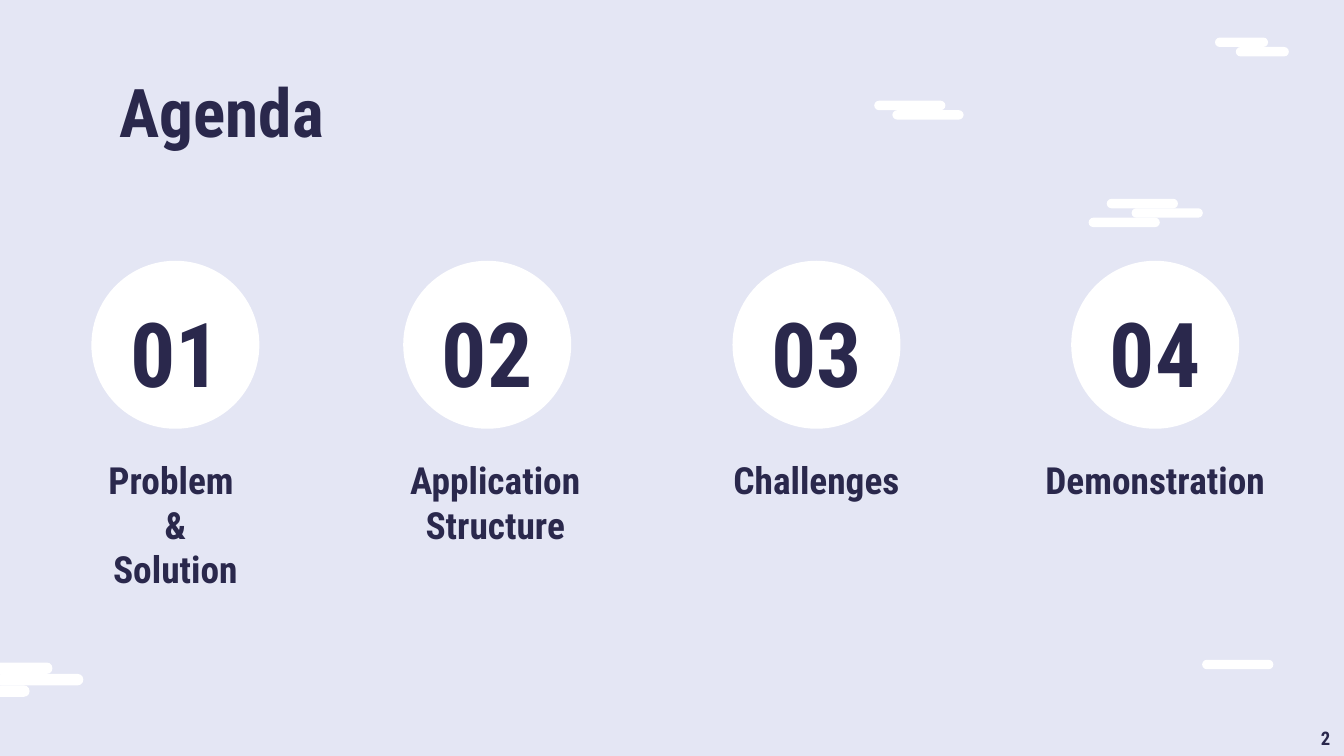
from pptx import Presentation
from pptx.dml.color import RGBColor
from pptx.enum.shapes import MSO_SHAPE
from pptx.enum.text import MSO_ANCHOR, MSO_AUTO_SIZE, PP_ALIGN
from pptx.util import Emu, Pt

SCALE = 4572
INK = "2A284C"
PAPER = "E4E6F4"
WHITE = "FFFFFF"
FONT = "Roboto Condensed"

AGENDA = [
    (136, 22, ["Problem ", "&", "Solution"]),
    (600, 498, ["Application", "Structure"]),
    (1090, 976, ["Challenges"]),
    (1594, 1480, ["Demonstration"]),
]
CLOUDS = [
    ((-86, 986, 130, 17), [34, 80, 0]),
    ((1620, 296, 106, 14), [27, 64, 0]),
    ((1301, 150, 106, 14), [0, 27]),
    ((1789, 982, 106, 14), [0]),
    ((1808, 56, 79, 14), [0, 31]),
]


def px(length):
    """Turn px into EMU."""
    return Emu(length * SCALE)


def color(hex_code):
    """Turn a hex string into a colour."""
    return RGBColor.from_string(hex_code)


def write(shape, lines, size, align=PP_ALIGN.LEFT, anchor=MSO_ANCHOR.TOP,
          inset=20, wrap=True):
    """Fill a shape with formatted lines, one paragraph each."""
    frame = shape.text_frame
    frame.auto_size = MSO_AUTO_SIZE.NONE
    frame.word_wrap = wrap
    frame.vertical_anchor = anchor
    frame.margin_left = frame.margin_right = px(20)
    frame.margin_top = frame.margin_bottom = px(inset)
    frame.text = "\n".join(lines)
    for paragraph in frame.paragraphs:
        paragraph.alignment = align
        font = paragraph.runs[0].font
        font.name, font.size, font.bold = FONT, Pt(size), True
        font.color.rgb = color(INK)


def add_text(slide, box, lines, size, **style):
    """Add a text box with formatted lines."""
    write(slide.shapes.add_textbox(*map(px, box)), lines, size, **style)


def add_pill(slide, box):
    """Add a white shape with fully rounded ends."""
    pill = slide.shapes.add_shape(MSO_SHAPE.ROUNDED_RECTANGLE, *map(px, box))
    pill.adjustments[0] = 0.5
    pill.shadow.inherit = False
    pill.fill.solid()
    pill.fill.fore_color.rgb = color(WHITE)
    pill.line.fill.background()


def add_cloud(slide, box, offsets):
    """Stack cloud bars downwards, each shifted by its offset."""
    left, top, width, height = box
    for row, offset in enumerate(offsets):
        add_pill(slide, (left + offset, top + row * height, width, height))


def add_title(slide, box, title):
    """Place and format the title placeholder."""
    heading = slide.shapes.title
    heading.left, heading.top, heading.width, heading.height = map(px, box)
    write(heading, [title], 36)


def add_agenda_item(slide, box, number, label_left, label):
    """Add a numbered disc with its label underneath."""
    left, top, width, height = box
    add_pill(slide, box)
    add_text(slide, (left + 28, top + 64, width - 56, 142), [f"{number:02}"], 48,
             align=PP_ALIGN.CENTER, anchor=MSO_ANCHOR.MIDDLE)
    add_text(slide, (label_left, top + height + 22, 478, 40 + 68 * len(label)),
             label, 20, align=PP_ALIGN.CENTER)


def build_agenda(deck):
    """Build the agenda slide."""
    slide = deck.slides.add_slide(deck.slide_layouts[5])
    slide.background.fill.solid()
    slide.background.fill.fore_color.rgb = color(PAPER)
    for box, offsets in CLOUDS:
        add_cloud(slide, box, offsets)
    add_title(slide, (158, 84, 1686, 134), "Agenda")
    for number, (left, label_left, label) in enumerate(AGENDA, 1):
        add_agenda_item(slide, (left, 388, 250, 250), number, label_left, label)
    add_text(slide, (1946, 1072, 54, 54), ["2"], 10, inset=10, wrap=False)


def main():
    """Create and save the deck."""
    deck = Presentation()
    deck.slide_width, deck.slide_height = px(2000), px(1125)
    build_agenda(deck)
    deck.save("out.pptx")


if __name__ == "__main__":
    main()
